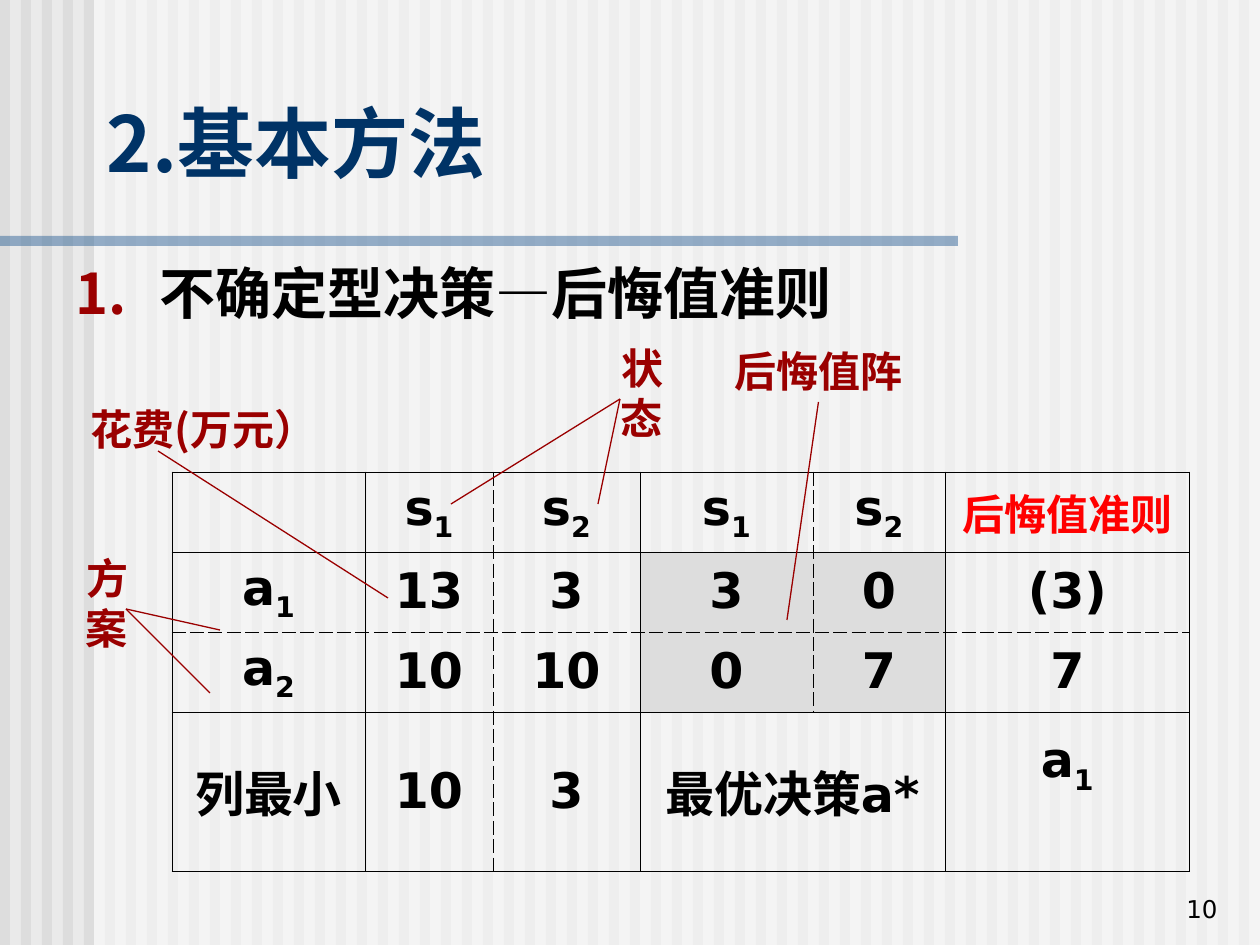
from lxml import etree
from pptx import Presentation, util as u
from pptx.dml.color import RGBColor
from pptx.enum import shapes, text
from pptx.oxml import parse_xml
from pptx.oxml.ns import nsdecls, qn

INK = {"back": "EAEAEA", "stripe": "DDDDDD", "white": "FFFFFF", "bar": "336699",
       "title": "003366", "note": "9A0000", "black": "000000", "red": "FF0000"}
CJK, SANS = "Noto Sans CJK SC", "DejaVu Sans"
AL, MID = text.PP_ALIGN, text.MSO_ANCHOR.MIDDLE


def px(*nums):
    return [u.Emu(round(n * 914400 / 126)) for n in nums]


def write(para, words, size, ink, face=SANS, bold=True, align=AL.CENTER, before=0):
    para.alignment = align
    para.space_before = u.Pt(before)
    for n, part in enumerate(words.split("_")):
        run = para.add_run()
        run.text = part
        for key, val in {"size": u.Pt(size), "bold": bold, "name": face}.items():
            setattr(run.font, key, val)
        run.font.color.rgb = RGBColor.from_string(INK[ink])
        props = run._r.get_or_add_rPr()
        etree.SubElement(props, qn("a:ea")).set("typeface", CJK)
        if n:
            props.set("baseline", "-25000")


prs = Presentation()
prs.slide_width, prs.slide_height = px(1260, 945)
slide = prs.slides.add_slide(prs.slide_layouts[5])
slide.background.fill.solid()
slide.background.fill.fore_color.rgb = RGBColor.from_string(INK["back"])
tree = slide.shapes

bands = [(21 * n, 0, 10, 945, "stripe", 100) for n in range(60)]
bands += [(94, 0, 1166, 945, "white", 50), (0, 236, 958, 10, "bar", 50)]
for x, y, w, h, ink, alpha in bands:
    band = tree.add_shape(shapes.MSO_SHAPE.RECTANGLE, *px(x, y, w, h))
    band.shadow.inherit = False
    band.line.fill.background()
    band.fill.solid()
    band.fill.fore_color.rgb = RGBColor.from_string(INK[ink])
    if alpha < 100:
        tint = band._element.spPr.find(".//" + qn("a:srgbClr"))
        etree.SubElement(tint, qn("a:alpha")).set("val", str(alpha * 1000))

title = tree.title
title._element.getparent().append(title._element)
title.left, title.top, title.width, title.height = px(94, 63, 1071, 158)
title.text_frame.vertical_anchor = MID
write(title.text_frame.paragraphs[0], "2.基本方法", 44, "title", CJK, align=AL.LEFT)

cols = [126, 67, 128, 147, 173, 132, 245]
rows = [80, 80, 80, 159]
grid = [["", "", "s_1", "s_2", "s_1", "s_2", "后悔值准则"],
        ["a_1", "", "13", "3", "3", "0", "(3)"],
        ["a_2", "", "10", "10", "0", "7", "7"],
        ["列最小", "", "10", "3", "最优决策a*", "", "a_1"]]
table = tree.add_table(4, 7, *px(172, 472, sum(cols), sum(rows))).table
table.first_row = table.horz_banding = False
for col, size in zip(table.columns, px(*cols)):
    col.width = size
for row, size in zip(table.rows, px(*rows)):
    row.height = size
for r, c in [(1, 0), (2, 0), (3, 0), (3, 4)]:
    table.cell(r, c).merge(table.cell(r, c + 1))

for r, line in enumerate(grid):
    for c, words in enumerate(line):
        cell = table.cell(r, c)
        cell.vertical_anchor = MID
        if r in (1, 2) and c in (4, 5):
            cell.fill.solid()
            cell.fill.fore_color.rgb = RGBColor.from_string(INK["stripe"])
        else:
            cell.fill.background()
        if words:
            head = (r, c) == (0, 6)
            write(cell.text_frame.paragraphs[0], words, 24 if head else 28,
                  "red" if head else "black", before=6 if head else 7)
        edges = [("L", c, -1), ("R", c + 1, -1), ("T", -1, r), ("B", -1, r + 1)]
        for n, (side, x, y) in enumerate(edges):
            if x == 1 and r == 0:
                style = "<a:noFill/>"
            else:
                dash = x == 3 or (x == 5 and r < 3) or y == 2
                style = (f'<a:solidFill><a:srgbClr val="{INK["black"]}"/></a:solidFill>'
                         f'<a:prstDash val="{"dash" if dash else "solid"}"/>')
            edge = parse_xml(f'<a:ln{side} {nsdecls("a")} w="5715">{style}</a:ln{side}>')
            cell._tc.get_or_add_tcPr().insert(n, edge)
table.cell(3, 6).margin_bottom = px(60)[0]

notes = [("状态", 588, 336, 108, 63, CJK), ("花费(万元）", 68, 397, 271, 63, CJK),
         ("方案", 53, 546, 108, 63, CJK), ("后悔值阵", 722, 339, 193, 63, SANS)]
for words, x, y, w, h, face in notes:
    note = tree.add_textbox(*px(x, y, w, h))
    note.text_frame.word_wrap = False
    write(note.text_frame.paragraphs[0], words, 24, "note", face)

rays = [(620, 399, 451, 504), (620, 399, 598, 504), (126, 609, 210, 693),
        (126, 609, 220, 630), (158, 451, 388, 598), (819, 399, 787, 620)]
for ends in rays:
    ray = tree.add_connector(shapes.MSO_CONNECTOR.STRAIGHT, *px(*ends))
    ray.line.color.rgb = RGBColor.from_string(INK["note"])
    ray.line.width = u.Pt(0.75)
    etree.SubElement(ray._element.spPr, qn("a:effectLst"))
ray.begin_connect(note, 2)

body = tree.add_textbox(*px(63, 252, 1124, 640)).text_frame
body.word_wrap = True
item = body.paragraphs[0]
write(item, "不确定型决策—后悔值准则", 32, "black", "Arial", align=AL.JUSTIFY, before=8)
props = item._p.get_or_add_pPr()
for key, val in {"marL": 84, "indent": -84}.items():
    props.set(key, str(px(val)[0]))
tint = etree.SubElement(props, qn("a:buClr"))
etree.SubElement(tint, qn("a:srgbClr")).set("val", INK["note"])
etree.SubElement(props, qn("a:buAutoNum")).set("type", "arabicPeriod")

page = tree.add_textbox(*px(968, 867, 262, 63)).text_frame
page.word_wrap = True
page.vertical_anchor = text.MSO_ANCHOR.BOTTOM
write(page.paragraphs[0], "10", 14, "black", bold=False, align=AL.RIGHT)

prs.save("out.pptx")
